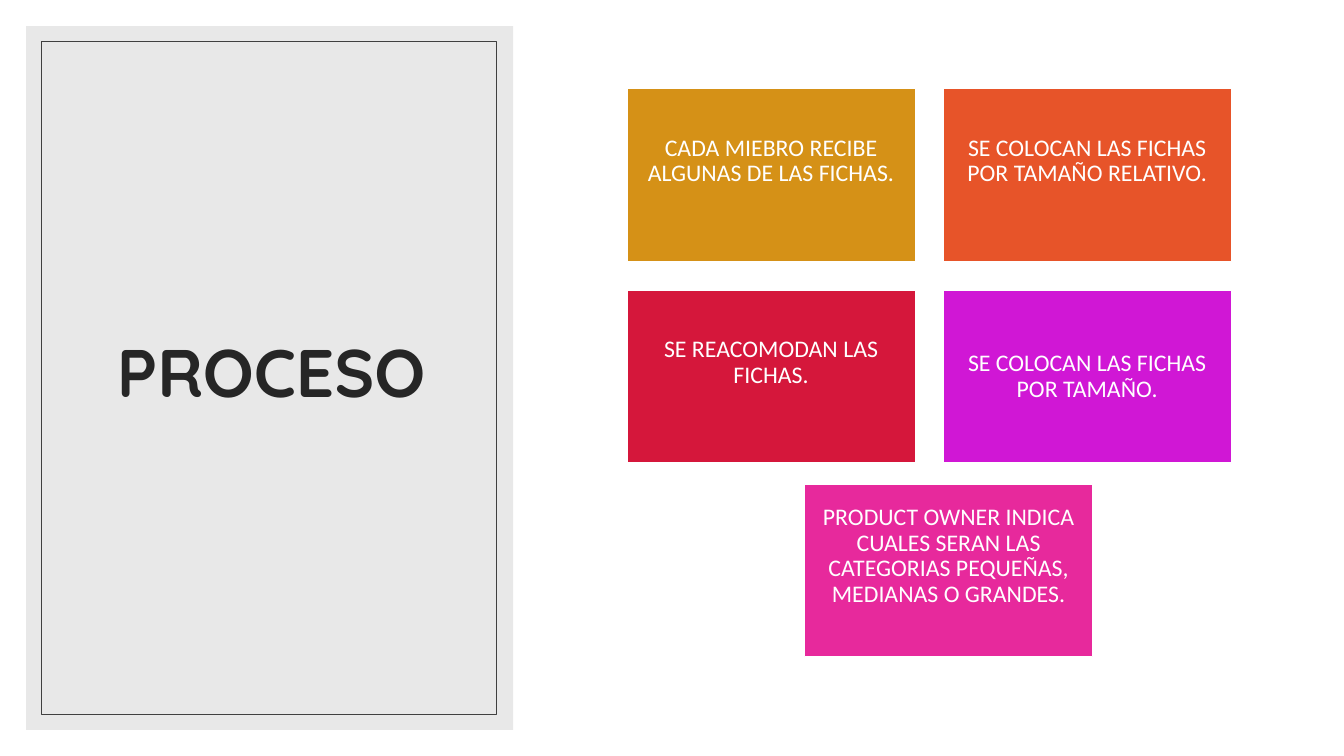
from lxml.etree import SubElement
from pptx import Presentation
from pptx.dml.color import RGBColor
from pptx.enum.shapes import MSO_SHAPE
from pptx.enum.text import MSO_ANCHOR, MSO_AUTO_SIZE, PP_ALIGN
from pptx.oxml.ns import qn
from pptx.util import Pt

COLORS = {
    "white": "FFFFFF",
    "panel": "D9D9D9",
    "frame": "404040",
    "title": "262626",
    "gold": "D59117",
    "orange": "E75429",
    "red": "D5173B",
    "purple": "D017D5",
    "pink": "E7299C",
}

CARD_WIDTH, CARD_HEIGHT = 206, 123.4
COLUMNS = (447.8, 673.6)
ROWS = (63.4, 207.4)
INSET = 5
RAISED = 25  # bottom inset that lifts the text above the middle

CARDS = [
    ("CADA MIEBRO RECIBE ALGUNAS DE LAS FICHAS.", "gold", COLUMNS[0], ROWS[0], RAISED),
    ("SE COLOCAN LAS FICHAS POR TAMAÑO RELATIVO.", "orange", COLUMNS[1], ROWS[0], RAISED),
    ("SE REACOMODAN LAS FICHAS.", "red", COLUMNS[0], ROWS[1], RAISED),
    ("PRODUCT OWNER INDICA CUALES SERAN LAS CATEGORIAS PEQUEÑAS, MEDIANAS O GRANDES.",
     "pink", 574.6, 345.6, RAISED),
    ("SE COLOCAN LAS FICHAS POR TAMAÑO.", "purple", COLUMNS[1], ROWS[1], INSET),
]


def color(name):
    return RGBColor.from_string(COLORS[name])


def add_rectangle(slide, left, top, width, height, fill=None, alpha=None,
                  line=None, line_width=1):
    shape = slide.shapes.add_shape(
        MSO_SHAPE.RECTANGLE, Pt(left), Pt(top), Pt(width), Pt(height))
    shape.shadow.inherit = False
    if fill:
        shape.fill.solid()
        shape.fill.fore_color.rgb = color(fill)
    else:
        shape.fill.background()
    if alpha:
        fill_color = shape.fill._xPr.find(f"{qn('a:solidFill')}/{qn('a:srgbClr')}")
        SubElement(fill_color, qn("a:alpha"), val=str(alpha * 1000))
    if line:
        shape.line.color.rgb = color(line)
        shape.line.width = Pt(line_width)
    else:
        shape.line.fill.background()
    return shape


def write_text(shape, text, font, size, font_color, bold=False, space_after=6,
               inset=INSET, bottom=INSET):
    frame = shape.text_frame
    frame.word_wrap = True
    frame.auto_size = MSO_AUTO_SIZE.NONE
    frame.vertical_anchor = MSO_ANCHOR.MIDDLE
    frame.margin_left = frame.margin_right = frame.margin_top = Pt(inset)
    frame.margin_bottom = Pt(bottom)
    paragraph = frame.paragraphs[0]
    paragraph.alignment = PP_ALIGN.CENTER
    paragraph.line_spacing = 0.9
    paragraph.space_after = Pt(space_after)
    run = paragraph.add_run()
    run.text = text
    run.font.name = font
    run.font.size = Pt(size)
    run.font.bold = bold
    run.font.color.rgb = color(font_color)


def add_title(slide, text):
    """Place the title placeholder in front of the side panel."""
    title = slide.shapes.title
    title.left, title.top = Pt(45.4), Pt(43.9)
    title.width, title.height = Pt(296.6), Pt(449.3)
    write_text(title, text, "Quicksand", 48, "title", bold=True)
    title.element.getparent().append(title.element)


def add_card(slide, text, fill, left, top, bottom):
    card = add_rectangle(slide, left, top, CARD_WIDTH, CARD_HEIGHT,
                         fill=fill, line="white")
    write_text(card, text, "Calibri", 17, "white", space_after=0, bottom=bottom)


def main():
    presentation = Presentation()
    presentation.slide_width, presentation.slide_height = Pt(960), Pt(540)
    slide = presentation.slides.add_slide(presentation.slide_layouts[5])
    slide.background.fill.solid()
    slide.background.fill.fore_color.rgb = color("white")

    add_rectangle(slide, 18.7, 18.7, 347.8, 502.6, fill="panel", alpha=60)
    add_title(slide, "PROCESO")
    add_rectangle(slide, 29.5, 29.5, 324.7, 481, line="frame", line_width=0.5)
    for card in CARDS:
        add_card(slide, *card)

    presentation.save("out.pptx")


if __name__ == "__main__":
    main()
